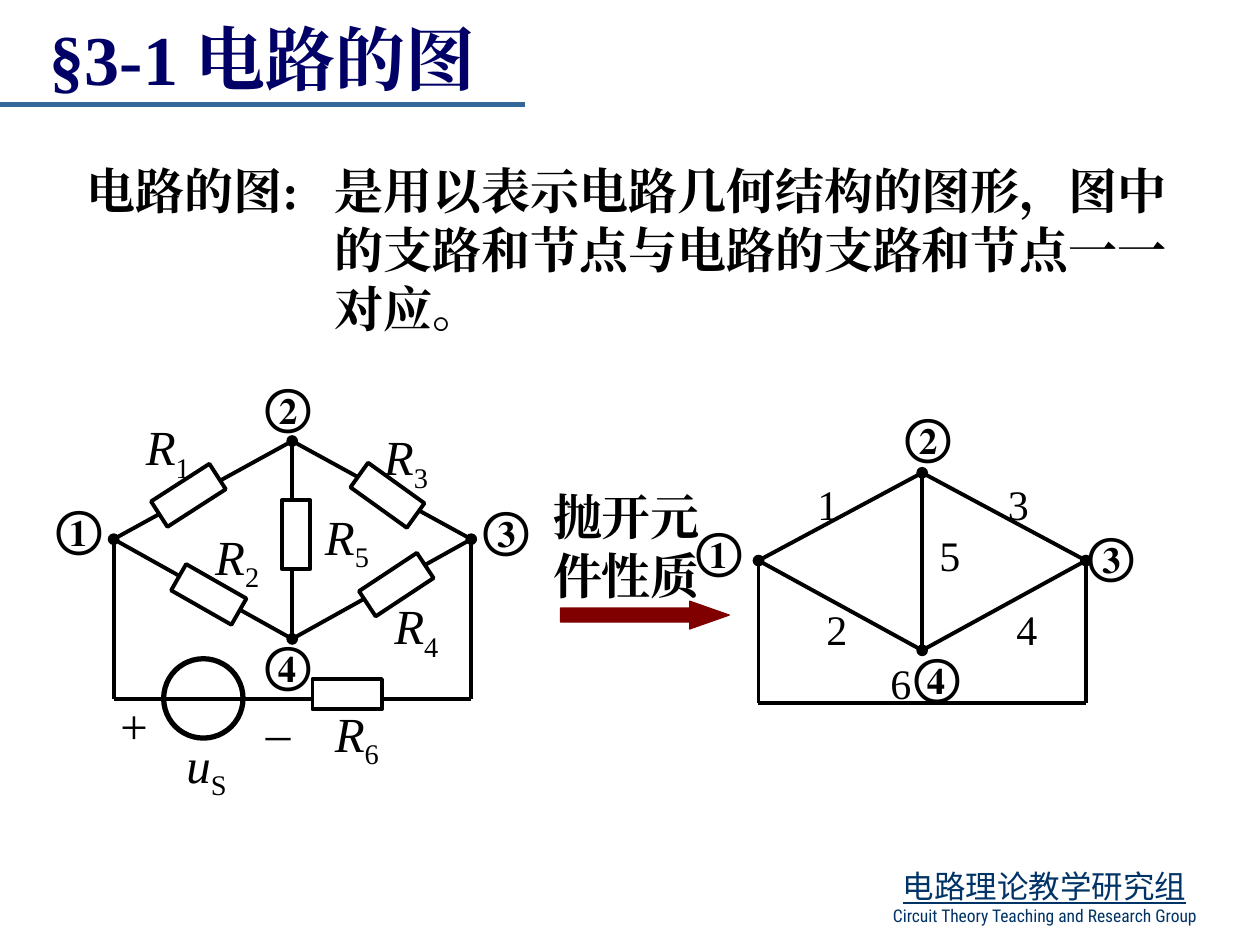
from lxml import etree
from pptx import Presentation
from pptx.dml.color import RGBColor
from pptx.enum.shapes import MSO_CONNECTOR, MSO_SHAPE
from pptx.enum.text import MSO_ANCHOR, PP_ALIGN
from pptx.oxml.ns import qn
from pptx.util import Cm, Pt

BLACK = RGBColor(0x00, 0x00, 0x00)
WHITE = RGBColor(0xFF, 0xFF, 0xFF)
NAVY = RGBColor(0x00, 0x00, 0x66)
BLUE = RGBColor(0x33, 0x66, 0x99)
DEEP = RGBColor(0x00, 0x33, 0x66)
RED = RGBColor(0x80, 0x00, 0x00)
LINE = MSO_CONNECTOR.STRAIGHT
RECT, OVAL, ARROW = MSO_SHAPE.RECTANGLE, MSO_SHAPE.OVAL, MSO_SHAPE.RIGHT_ARROW
LEFT, CENTER = PP_ALIGN.LEFT, PP_ALIGN.CENTER
MIDDLE = MSO_ANCHOR.MIDDLE
SERIF, SANS, SLIM = "Times New Roman", "Noto Sans CJK SC", "Roboto Condensed"

TITLE = "§3-1 电路的图"
TERM = "电路的图:"
MEANING = "是用以表示电路几何结构的图形，图中的支路和节点与电路的支路和节点一一对应。"
STEP = "抛开元件性质"
GROUP = "电路理论教学研究组"
ENGLISH = "Circuit Theory Teaching and Research Group"

# left, middle, right; top, side, bottom, base
CIRCUIT = (2.29, 5.89, 9.5, 8.89, 10.87, 12.88, 14.1)
GRAPH = (15.29, 18.59, 21.89, 9.53, 11.3, 13.11, 14.17)

EDGES = [
    ("5", 18.69, 10.54), ("4", 20.24, 12.04), ("3", 20.07, 9.53),
    ("2", 16.41, 12.04), ("1", 16.23, 9.53), ("6", 17.7, 13.13),
]
PARTS = [
    ("R", "4", 7.7, 11.89), ("R", "1", 2.69, 8.28), ("R", "3", 7.49, 8.48),
    ("R", "2", 4.09, 10.49), ("R", "6", 6.5, 14.05), ("R", "5", 6.3, 10.08),
    ("u", "S", 3.51, 14.68), ("+", "", 2.11, 13.89), ("_", "", 5.11, 13.69),
]
LOADS = [
    (7.29, 11.48, 1.4, 0.61, 326.5), (3.51, 11.68, 1.4, 0.61, 29.7),
    (7.11, 9.68, 1.4, 0.61, 35.7), (3.1, 9.68, 1.4, 0.61, 327.2),
    (6.3, 13.69, 1.4, 0.61, 0), (5.69, 10.08, 0.56, 1.4, 0),
]
NODES = [
    ("①", 0.89, 9.91), ("②", 5.11, 7.44), ("③", 9.5, 9.93), ("④", 5.11, 12.65),
    ("①", 13.79, 10.34), ("②", 18.01, 8.05), ("③", 21.69, 10.44), ("④", 18.19, 12.88),
]

deck = Presentation()
deck.slide_width, deck.slide_height = Cm(25.4), Cm(19.05)
slide = deck.slides.add_slide(deck.slide_layouts[6])
shapes = slide.shapes


def style(para, size, name=SERIF, color=BLACK, bold=False, align=LEFT):
    para.alignment = align
    font = para.font
    font.size, font.name, font.bold = Pt(size), name, bold
    font.color.rgb = color
    latin = para._p.pPr.find(qn("a:defRPr")).find(qn("a:latin"))
    east = etree.Element(qn("a:ea"), typeface=name)
    latin.addnext(east)
    return font


def frame(x, y, w, h):
    text = shapes.add_textbox(Cm(x), Cm(y), Cm(w), Cm(h)).text_frame
    text.word_wrap = True
    return text


def write(text, x, y, w, h, size, **look):
    box = frame(x, y, w, h)
    para = box.paragraphs[0]
    para.add_run().text = text
    style(para, size, **look)
    return box


def wire(x1, y1, x2, y2, ends=(), color=BLACK, width=2.25):
    line = shapes.add_connector(LINE, Cm(x1), Cm(y1), Cm(x2), Cm(y2))
    line.line.color.rgb, line.line.width = color, Pt(width)
    props = line._element.spPr
    for end in ends:
        etree.SubElement(props.find(qn("a:ln")), qn("a:" + end), type="oval")
    etree.SubElement(props, qn("a:effectLst"))


def solid(kind, x, y, w, h, fill=WHITE, edge=BLACK, width=2.25):
    shape = shapes.add_shape(kind, Cm(x), Cm(y), Cm(w), Cm(h))
    shape.shadow.inherit = False
    shape.fill.solid()
    shape.fill.fore_color.rgb = fill
    shape.line.color.rgb, shape.line.width = edge, Pt(width)
    return shape


def bridge(left, mid, right, top, side, low, base):
    for x in (left, right):
        for y in (top, low):
            wire(x, side, mid, y)
    wire(mid, top, mid, low, ("headEnd", "tailEnd"))
    for x in (left, right):
        wire(x, side, x, base, ("headEnd",))
    wire(left, base, right, base)


foot = write(GROUP, 17.15, 17.35, 7.82, 1.45, 18, name=SANS, color=DEEP, align=CENTER)
foot.paragraphs[0].font.underline = True
para = foot.add_paragraph()
para.text = ENGLISH
style(para, 10, SLIM, DEEP, align=CENTER)
wire(0, 2.11, 10.59, 2.11, color=BLUE, width=3)

head = write(TITLE, -0.51, 0, 11.61, 2.31, 40, color=NAVY, bold=True, align=CENTER)
head.vertical_anchor = MIDDLE
write(TERM, 1.5, 3.12, 5, 1.45, 28, bold=True)
write(MEANING, 6.5, 3.12, 17.81, 3.81, 28, bold=True)

arrow = solid(ARROW, 11.3, 12.12, 3.4, 0.56, RED, RED, 0.75)
arrow.adjustments[0], arrow.adjustments[1] = 0.5, 1.42
write(STEP, 10.9, 9.68, 3.81, 2.62, 28, bold=True)

bridge(*GRAPH)
for text, x, y in EDGES:
    write(text, x, y, 0.74, 1.27, 24)

solid(OVAL, 3.3, 13.28, 1.6, 1.6, width=3)
bridge(*CIRCUIT)
for text, sub, x, y in PARTS:
    para = write(text, x, y, 2.39 if text == "R" else 1.4, 1.45, 28).paragraphs[0]
    para.runs[0].font.italic = True
    if sub:
        run = para.add_run()
        run.text = sub
        run._r.get_or_add_rPr().set("baseline", "-25000")
for x, y, w, h, turn in LOADS:
    solid(RECT, x, y, w, h).rotation = turn

for text, x, y in NODES:
    write(text, x, y, 1.5, 1.45, 28, bold=True).word_wrap = False

deck.save("out.pptx")
